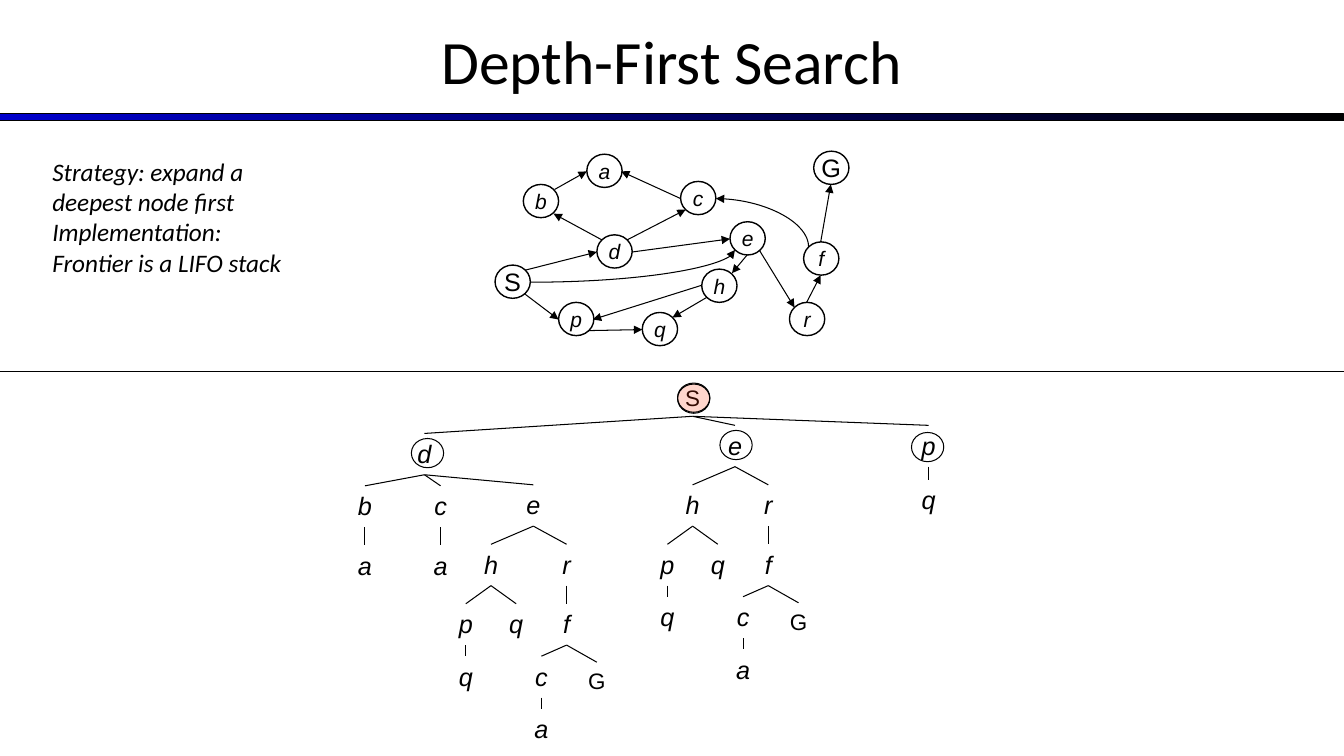
from lxml import etree
from pptx import Presentation
from pptx.dml.color import RGBColor
from pptx.enum.shapes import MSO_CONNECTOR, MSO_SHAPE
from pptx.enum.text import MSO_ANCHOR, PP_ALIGN
from pptx.oxml.ns import qn
from pptx.util import Inches, Pt

STRAIGHT, CURVE = MSO_CONNECTOR.STRAIGHT, MSO_CONNECTOR.CURVE
RECT, OVAL, NODE = MSO_SHAPE.RECTANGLE, MSO_SHAPE.OVAL, MSO_SHAPE.FLOWCHART_CONNECTOR
MIDDLE, LEFT, CENTER = MSO_ANCHOR.MIDDLE, PP_ALIGN.LEFT, PP_ALIGN.CENTER
color = RGBColor.from_string
BLACK = color("000000")

deck = Presentation()
deck.slide_width, deck.slide_height = Inches(13.33), Inches(7.5)
slide = deck.slides.add_slide(deck.slide_layouts[6])
shapes = slide.shapes


def write(para, text, size, font="Arial", italic=False, align=CENTER):
    para.alignment = align
    run = para.add_run()
    run.text = text
    run.font.size, run.font.name, run.font.italic = Pt(size), font, italic
    run.font.color.rgb = BLACK


def link(x1, y1, x2, y2, arrow=None, kind=STRAIGHT):
    """Draw a thin line; arrow is the end that gets a triangle, headEnd or tailEnd."""
    line = shapes.add_connector(kind, Inches(x1), Inches(y1), Inches(x2), Inches(y2))
    line.line.width, line.line.color.rgb = Pt(0.75), BLACK
    props = line._element.spPr
    if kind == CURVE:
        props.find(qn("a:prstGeom")).set("prst", "curvedConnector2")
    if arrow:
        etree.SubElement(props.find(qn("a:ln")), qn("a:" + arrow), type="triangle")
    etree.SubElement(props, qn("a:effectLst"))


# Title and bar
bar = shapes.add_shape(RECT, 0, Inches(1.13), Inches(13.33), Inches(0.07))
bar.shadow.inherit = False
bar.fill.gradient()
bar.fill.gradient_angle = 0
for stop, shade in zip(bar.fill.gradient_stops, ("0000CC", "000000")):
    stop.color.rgb = color(shade)
bar.line.width, bar.line.color.rgb = Pt(0.75), BLACK

title = shapes.add_textbox(0, Inches(-0.03), Inches(13.33), Inches(1.25)).text_frame
title.word_wrap, title.vertical_anchor = True, MIDDLE
write(title.paragraphs[0], "Depth-First Search", 44, "Calibri")

# Search tree: each key is the path from S, each value the centre and top of its label
tree = {
    "S": (6.87, 3.76), "Sd": (4.21, 4.3), "Sp": (9.21, 4.22), "Spq": (9.21, 4.76),
    "Sdb": (3.62, 4.82), "Sdc": (4.37, 4.82), "Sdba": (3.62, 5.41), "Sdca": (4.37, 5.41),
}
below = {
    "": (0, 0), "h": (-0.42, 0.59), "r": (0.33, 0.59),
    "hp": (-0.67, 1.18), "hq": (-0.17, 1.18), "rf": (0.33, 1.18),
    "hpq": (-0.67, 1.7), "rfc": (0.08, 1.7), "rfG": (0.63, 1.76), "rfca": (0.08, 2.22),
}
for root, x, y in (("Se", 7.29, 4.22), ("Sde", 5.29, 4.81)):
    for tail, (dx, dy) in below.items():
        tree[root + tail] = (x + dx, y + dy)

for route, (x, top) in tree.items():
    name, parent = route[-1], route[:-1]
    goal = name.isupper()
    label = shapes.add_textbox(Inches(x - 0.21), Inches(top), Inches(0.42),
                               Inches(0.37 if goal else 0.4)).text_frame
    label.word_wrap = True
    write(label.paragraphs[0], name, 16 if goal else 18, italic=not goal)
    if parent:
        px, py = tree[parent]
        link(px, py + (0.37 if parent == "S" else 0.41), x, top)

# State graph
graph = {
    "S": (4.91, 2.63), "G": (8.07, 1.5), "d": (5.92, 2.33), "b": (5.19, 1.83),
    "p": (5.54, 3), "q": (6.37, 3.1), "c": (6.75, 1.8), "e": (7.24, 2.2),
    "h": (6.96, 2.67), "a": (5.82, 1.53), "f": (7.97, 2.4), "r": (7.83, 3),
}
for name, (x, y) in graph.items():
    node = shapes.add_shape(NODE, Inches(x), Inches(y), Inches(0.35), Inches(0.33))
    node.shadow.inherit = False
    node.fill.background()
    node.line.width, node.line.color.rgb = Pt(1), BLACK
    frame = node.text_frame
    frame.word_wrap, frame.vertical_anchor = False, MIDDLE
    goal = name.isupper()
    write(frame.paragraphs[0], name, 18 if goal else 15, italic=not goal)

arrows = [
    (5.21, 2.92, 5.54, 3.17), (5.83, 3.28, 6.37, 3.27), (7.01, 2.95, 6.67, 3.15),
    (6.96, 2.83, 5.88, 3.17), (7.41, 2.53, 7.26, 2.71), (7.53, 2.48, 7.88, 3.05),
    (8, 3, 8.14, 2.73), (8.14, 2.4, 8.24, 1.83), (5.21, 2.68, 5.92, 2.5),
    (5.97, 2.38, 5.49, 2.12), (5.5, 1.88, 5.82, 1.7), (6.75, 1.97, 6.16, 1.7),
    (6.22, 2.38, 6.8, 2.08), (6.27, 2.5, 7.24, 2.37),
]
for ends in arrows:
    link(*ends, "tailEnd")
link(7.1, 1.97, 8.02, 2.45, "headEnd", CURVE)
link(5.26, 2.8, 7.29, 2.48, "tailEnd", CURVE)

# Divider and rings around the frontier
link(0, 3.69, 13.33, 3.69)
rings = [(6.72, 3.8, "FF3300"), (6.72, 3.81, None), (4.08, 4.35, None),
         (7.14, 4.27, None), (9.04, 4.29, None)]
for x, y, tint in rings:
    ring = shapes.add_shape(OVAL, Inches(x), Inches(y), Inches(0.32), Inches(0.29))
    ring.shadow.inherit = False
    ring.line.width, ring.line.color.rgb = Pt(0.75), BLACK
    if tint:
        ring.fill.solid()
        ring.fill.fore_color.rgb = color(tint)
        paint = ring._element.spPr.find(qn("a:solidFill"))[0]
        etree.SubElement(paint, qn("a:alpha"), val="20000")
    else:
        ring.fill.background()

# Strategy note
note = shapes.add_textbox(Inches(0.42), Inches(1.5), Inches(2.49), Inches(1.46)).text_frame
note.word_wrap = True
write(note.paragraphs[0], "Strategy: expand a deepest node first", 18, "Calibri", True, LEFT)
write(note.add_paragraph(), "Implementation: Frontier is a LIFO stack", 18, "Calibri", True, LEFT)

deck.save("out.pptx")
